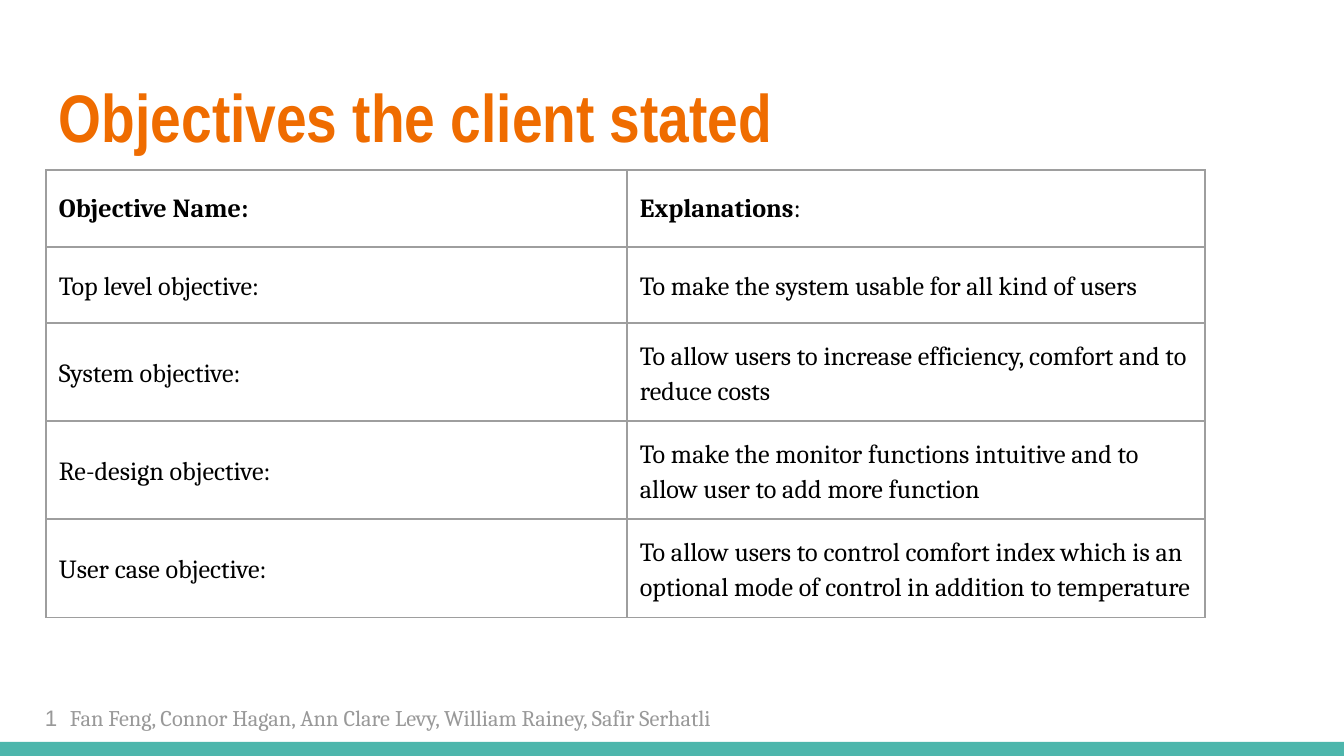
"""Build the slide that lists the objectives the client stated."""
from typing import NamedTuple

from lxml.etree import SubElement
from pptx import Presentation
from pptx.dml.color import RGBColor as Rgb
from pptx.enum.shapes import MSO_SHAPE as Preset
from pptx.enum.text import MSO_ANCHOR as Anchor
from pptx.oxml.ns import qn
from pptx.util import Emu, Pt

PX_PER_INCH = 134.4
INSET = 13
COLORS = {
    "title": "EF6C00",
    "text": "000000",
    "border": "9E9E9E",
    "footer": "999999",
    "band": "4DB6AC",
}


class Box(NamedTuple):
    left: int
    top: int
    width: int
    height: int


class Objective(NamedTuple):
    name: str
    explanation: str
    height: int


SLIDE = Box(0, 0, 1344, 756)
BAND = Box(0, 742, 1344, 14)
TITLE = Box(46, 55, 1252, 103)
FOOTER = Box(32, 694, 964, 23)
TABLE_LEFT, TABLE_TOP = 46, 170
COLUMN_WIDTHS = (581, 578)
FOOTER_INDENT = 25
OBJECTIVES = (
    Objective("Objective Name:", "Explanations", 77),
    Objective("Top level objective:", "To make the system usable for all kind of users", 76),
    Objective("System objective:",
              "To allow users to increase efficiency, comfort and to reduce costs", 96),
    Objective("Re-design objective:",
              "To make the monitor functions intuitive and to allow user to add more function", 96),
    Objective("User case objective:",
              "To allow users to control comfort index which is an optional mode of control "
              "in addition to temperature", 96),
)


def px(length: int) -> Emu:
    """Turn px into EMU."""
    return Emu(round(length * 914400 / PX_PER_INCH))


def place(box: Box) -> tuple:
    """Give a box as EMU lengths."""
    return tuple(px(length) for length in box)


def color(key: str) -> Rgb:
    """Look up a named colour."""
    return Rgb.from_string(COLORS[key])


def set_font(font, size: int, key: str, face: str | None = None, bold: bool = False) -> None:
    """Set size, colour, face and weight of a font."""
    font.size, font.bold = Pt(size), bold
    font.color.rgb = color(key)
    if face:
        font.name = face


def set_insets(frame, top: int = INSET) -> None:
    """Set the margins of a text frame or a cell."""
    frame.margin_left = frame.margin_right = frame.margin_bottom = px(INSET)
    frame.margin_top = px(top)


def add_text(slide, box: Box, top_inset: int = INSET):
    """Add a wrapping text box and return its first paragraph."""
    frame = slide.shapes.add_textbox(*place(box)).text_frame
    frame.word_wrap = True
    frame.vertical_anchor = Anchor.TOP
    set_insets(frame, top_inset)
    return frame.paragraphs[0]


def add_borders(cell) -> None:
    """Draw a thin line on all four sides of a cell."""
    properties = cell._tc.get_or_add_tcPr()
    for position, side in enumerate(("lnL", "lnR", "lnT", "lnB")):
        line = properties.makeelement(qn(f"a:{side}"), {"w": str(Pt(0.75))})
        fill = SubElement(line, qn("a:solidFill"))
        SubElement(fill, qn("a:srgbClr"), val=COLORS["border"])
        properties.insert(position, line)


def fill_cell(cell, text: str, is_header: bool) -> None:
    """Write and style one cell."""
    cell.fill.background()
    cell.vertical_anchor = Anchor.MIDDLE
    set_insets(cell)
    add_borders(cell)
    cell.text = text
    paragraph = cell.text_frame.paragraphs[0]
    set_font(paragraph.font, 14, "text", "Cambria", is_header)
    if not is_header:
        paragraph.line_spacing = 1.15


def add_objectives(slide) -> None:
    """Add the table of objectives."""
    size = Box(TABLE_LEFT, TABLE_TOP, sum(COLUMN_WIDTHS), sum(o.height for o in OBJECTIVES))
    table = slide.shapes.add_table(len(OBJECTIVES), len(COLUMN_WIDTHS), *place(size)).table
    table.first_row = table.horz_banding = False
    for column, width in zip(table.columns, COLUMN_WIDTHS):
        column.width = px(width)
    for index, objective in enumerate(OBJECTIVES):
        table.rows[index].height = px(objective.height)
        for column, text in enumerate((objective.name, objective.explanation)):
            fill_cell(table.cell(index, column), text, index == 0)
    colon = table.cell(0, 1).text_frame.paragraphs[0].add_run()
    colon.text = ":"
    colon.font.bold = False


def add_footer(slide) -> None:
    """Add the page number and the authors, set apart by a hanging indent."""
    footer = add_text(slide, FOOTER)
    set_font(footer.font, 12, "footer")
    properties = footer._p.get_or_add_pPr()
    properties.set("marL", str(px(FOOTER_INDENT)))
    properties.set("indent", str(-px(FOOTER_INDENT)))
    authors = "Fan Feng, Connor Hagan, Ann Clare Levy, William Rainey, Safir Serhatli"
    for text, face in (("1\t", "Arial"), (authors, "Cambria")):
        run = footer.add_run()
        run.text, run.font.name = text, face


def main() -> None:
    """Build and save the slide."""
    deck = Presentation()
    deck.slide_width, deck.slide_height = px(SLIDE.width), px(SLIDE.height)
    slide = deck.slides.add_slide(deck.slide_layouts[6])

    band = slide.shapes.add_shape(Preset.RECTANGLE, *place(BAND))
    band.shadow.inherit = False
    band.fill.solid()
    band.fill.fore_color.rgb = color("band")
    band.line.fill.background()

    title = add_text(slide, TITLE, top_inset=20)
    title.text = "Objectives the client stated"
    set_font(title.font, 36, "title", "Arial Narrow", True)

    add_objectives(slide)
    add_footer(slide)
    deck.save("out.pptx")


if __name__ == "__main__":
    main()
